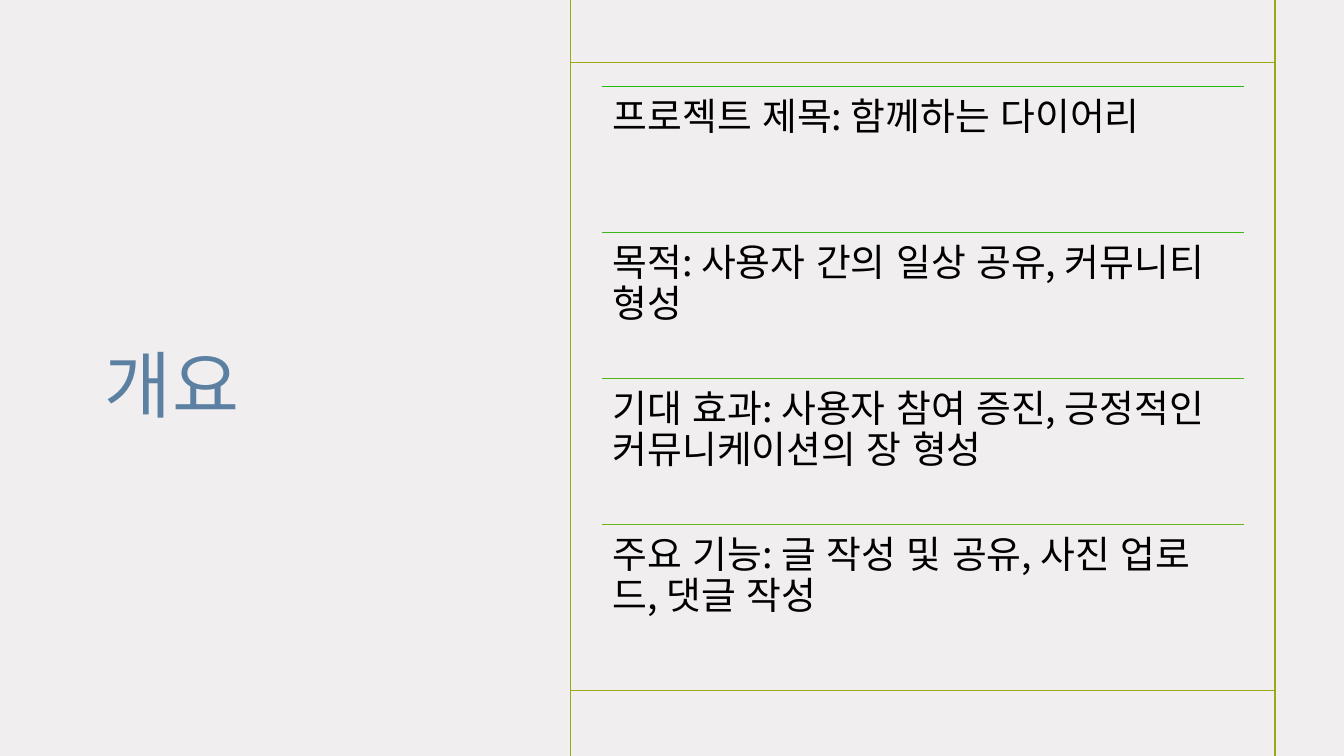
import pptx
import pptx.util
import pptx.dml.color
import pptx.enum.lang
import pptx.enum.shapes
import pptx.enum.text
import pptx.oxml.ns
import lxml.etree

Cm, Pt = pptx.util.Cm, pptx.util.Pt
RGBColor = pptx.dml.color.RGBColor
Anchor = pptx.enum.text.MSO_ANCHOR
qn = pptx.oxml.ns.qn

# Content
TITLE = "개요"
ITEMS = [
    ("프로젝트 제목: 함께하는 다이어리", RGBColor(0x22, 0xBB, 0x14)),
    ("목적: 사용자 간의 일상 공유, 커뮤니티 형성", RGBColor(0x3B, 0xB8, 0x18)),
    ("기대 효과: 사용자 참여 증진, 긍정적인 커뮤니케이션의 장 형성", RGBColor(0x53, 0xB6, 0x1C)),
    ("주요 기능: 글 작성 및 공유, 사진 업로드, 댓글 작성", RGBColor(0x69, 0xB3, 0x20)),
]

# Style
FONT = "Noto Sans CJK KR"
BACKGROUND = RGBColor(0xF1, 0xEE, 0xF0)
TITLE_BLUE = RGBColor(0x5C, 0x80, 0xA2)
FRAME_OLIVE = RGBColor(0x9C, 0xA9, 0x12)
BLACK = RGBColor(0, 0, 0)

# Layout
WIDTH, HEIGHT = Cm(33.87), Cm(19.05)
FRAME_LEFT, FRAME_RIGHT = Cm(14.38), Cm(32.13)
FRAME_TOP, FRAME_BOTTOM = Cm(1.57), Cm(17.4)
ITEM_LEFT, ITEM_TOP = Cm(15.16), Cm(2.18)
ITEM_WIDTH, ITEM_HEIGHT = Cm(16.18), Cm(3.68)


def add_line(slide, x1, y1, x2, y2, color):
    line = slide.shapes.add_connector(
        pptx.enum.shapes.MSO_CONNECTOR.STRAIGHT, x1, y1, x2, y2)
    line.line.color.rgb = color
    line.line.width = Pt(1)
    properties = line._element.find(qn("p:spPr"))
    lxml.etree.SubElement(properties, qn("a:effectLst"))


def write_text(shape, text, size, color, spacing, anchor, inset):
    frame = shape.text_frame
    frame.text = text
    frame.word_wrap = True
    frame.auto_size = pptx.enum.text.MSO_AUTO_SIZE.NONE
    frame.vertical_anchor = anchor
    frame.margin_left = frame.margin_top = inset
    frame.margin_right = frame.margin_bottom = inset
    paragraph = frame.paragraphs[0]
    paragraph.alignment = pptx.enum.text.PP_ALIGN.LEFT
    paragraph.line_spacing = spacing
    font = paragraph.font
    font.name, font.size, font.color.rgb = FONT, Pt(size), color
    font.language_id = pptx.enum.lang.MSO_LANGUAGE_ID.KOREAN
    # Korean glyphs take the East Asian typeface
    lxml.etree.SubElement(font._element, qn("a:ea"), typeface=FONT)
    return font


def main():
    presentation = pptx.Presentation()
    presentation.slide_width, presentation.slide_height = WIDTH, HEIGHT
    slide = presentation.slides.add_slide(presentation.slide_layouts[5])
    slide.background.fill.solid()
    slide.background.fill.fore_color.rgb = BACKGROUND

    # Title
    title = slide.shapes.title
    title.left, title.top = Cm(2.34), Cm(1.63)
    title.width, title.height = Cm(11.33), Cm(15.82)
    font = write_text(title, TITLE, 52, TITLE_BLUE, 1.1, Anchor.MIDDLE, Cm(0.3))
    font._element.set("spc", "100")

    # Frame around the list
    for y in (FRAME_TOP, FRAME_BOTTOM):
        add_line(slide, FRAME_LEFT, y, FRAME_RIGHT, y, FRAME_OLIVE)
    for x in (FRAME_LEFT, FRAME_RIGHT):
        add_line(slide, x, 0, x, HEIGHT, FRAME_OLIVE)

    # Ruled list items
    for index, (text, color) in enumerate(ITEMS):
        top = ITEM_TOP + index * ITEM_HEIGHT
        add_line(slide, ITEM_LEFT, top, ITEM_LEFT + ITEM_WIDTH, top, color)
        box = slide.shapes.add_textbox(ITEM_LEFT, top, ITEM_WIDTH, ITEM_HEIGHT)
        write_text(box, text, 27, BLACK, 0.9, Anchor.TOP, Cm(0.28))

    presentation.save("out.pptx")


if __name__ == "__main__":
    main()
